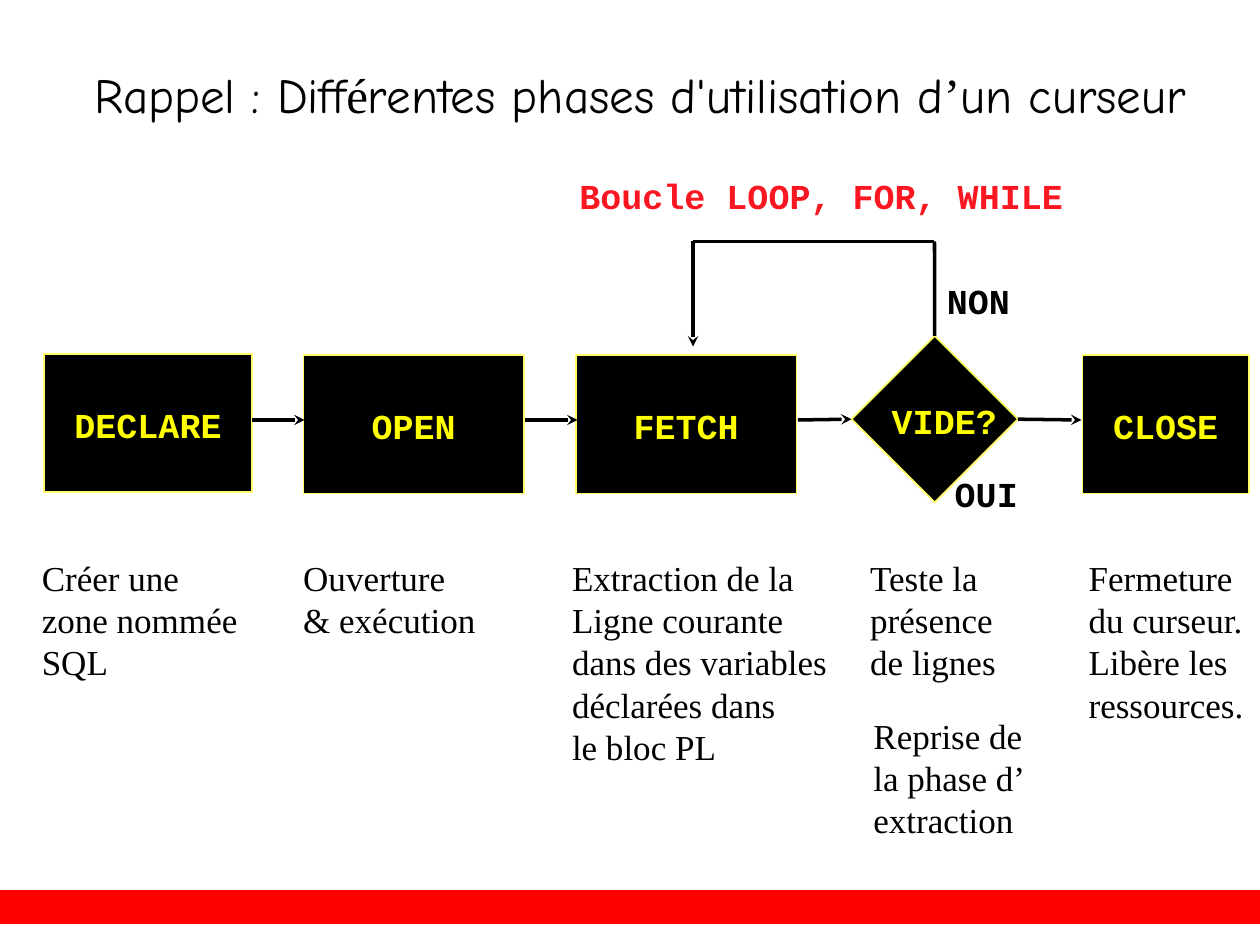
from lxml import etree
from pptx import Presentation
from pptx import util as u
from pptx.dml.color import RGBColor
from pptx.enum import shapes, text
from pptx.oxml import ns

COLS, ROWS = 120, 90
MONO = {"name": "Courier New", "size": u.Pt(20), "bold": True}
SERIF = {"name": "Times New Roman", "size": u.Pt(20), "bold": False}
BLACK, YELLOW, RED = "000000", "FFFF00", "FB1722"

prs = Presentation()
prs.slide_width, prs.slide_height = u.Inches(10), u.Inches(7.5)


def color(value):
    return RGBColor.from_string(value)


def grid(col, row):
    return int(prs.slide_width * col / COLS), int(prs.slide_height * row / ROWS)


def format_font(font, values, fill):
    for key, value in values.items():
        setattr(font, key, value)
    font.color.rgb = color(fill)


def write_lines(tf, lines, values, fill, align):
    for i, line in enumerate(lines):
        p = tf.paragraphs[0] if i == 0 else tf.add_paragraph()
        p.alignment = align
        r = p.add_run()
        r.text = line
        format_font(r.font, values, fill)


def add_title(s, parts):
    sp = s.shapes.title
    sp.left, sp.top = grid(9, 7)
    sp.width, sp.height = grid(105.8, 7)
    tf = sp.text_frame
    frame = {"margin_left": 0, "margin_top": 0, "margin_right": 0, "margin_bottom": 0,
             "vertical_anchor": text.MSO_ANCHOR.TOP, "word_wrap": True,
             "auto_size": text.MSO_AUTO_SIZE.NONE}
    for key, value in frame.items():
        setattr(tf, key, value)
    p = tf.paragraphs[0]
    p.alignment, p.line_spacing = text.PP_ALIGN.LEFT, 0.85
    for part, name in parts:
        r = p.add_run()
        r.text = part
        format_font(r.font, {"name": name, "size": u.Pt(28)}, BLACK)


def add_block(s, kind, col, row, width, height, fill=BLACK, line="FFFF66", label=None):
    sp = s.shapes.add_shape(kind, *grid(col, row), *grid(width, height))
    sp.shadow.inherit = False
    sp.fill.solid()
    sp.fill.fore_color.rgb = color(fill)
    sp.line.color.rgb = color(line)
    sp.line.width = u.Pt(1)
    if label:
        tf = sp.text_frame
        tf.vertical_anchor = text.MSO_ANCHOR.MIDDLE
        tf.margin_top = u.Inches(0.07)
        write_lines(tf, [label], MONO, YELLOW, text.PP_ALIGN.CENTER)
    return sp


def add_text(s, col, row, width, lines, values=SERIF, fill=BLACK):
    sp = s.shapes.add_textbox(*grid(col, row), *grid(width, 1.2 + 4 * len(lines)))
    tf = sp.text_frame
    tf.word_wrap = False
    tf.auto_size = text.MSO_AUTO_SIZE.SHAPE_TO_FIT_TEXT
    write_lines(tf, lines, values, fill, text.PP_ALIGN.LEFT)


def add_line(s, start, end, arrow=True):
    c = s.shapes.add_connector(shapes.MSO_CONNECTOR.STRAIGHT, *grid(*start), *grid(*end))
    c.line.color.rgb = color(BLACK)
    c.line.width = u.Pt(2)
    if arrow:
        etree.SubElement(c.line._get_or_add_ln(), ns.qn("a:tailEnd"), type="stealth")
    etree.SubElement(c._element.spPr, ns.qn("a:effectLst"))
    return c


def main():
    s = prs.slides.add_slide(prs.slide_layouts[5])
    rect, diamond = shapes.MSO_SHAPE.RECTANGLE, shapes.MSO_SHAPE.DIAMOND
    add_block(s, rect, 0, 84.85, COLS, 3.1, "FD0000", "FD0000")
    add_title(s, [("Rappel : Diff", "Comic Neue"), ("é", "Times New Roman"),
                  ("rentes phases d'utilisation d", "Comic Neue"),
                  ("’", "Times New Roman"), ("un curseur", "Comic Neue")])

    test = add_block(s, diamond, 81.1, 32, 15.85, 15.85)
    for label, col, row, width in [("DECLARE", 4.2, 33.7, 19.8), ("OPEN", 28.9, 33.8, 21),
                                   ("FETCH", 54.85, 33.8, 21), ("CLOSE", 103.1, 33.8, 15.85)]:
        add_block(s, rect, col, row, width, 13.2, label=label)

    add_line(s, (24, 40), (29, 40))
    add_line(s, (50, 40), (55, 40))
    add_line(s, (76, 40), (81, 40)).end_connect(test, 1)
    add_line(s, (97, 40), (103, 40)).begin_connect(test, 3)
    add_line(s, (89, 32), (89, 23), arrow=False).begin_connect(test, 0)
    add_line(s, (89, 23), (66, 23), arrow=False)
    add_line(s, (66, 23), (66, 33))

    for label, col, row, width, fill in [
            ("VIDE?", 83.75, 37.45, 12.5, YELLOW), ("OUI", 89.75, 44.4, 8.4, BLACK),
            ("NON", 89, 26, 8.4, BLACK), ("Boucle LOOP, FOR, WHILE", 54, 16, 48.5, RED)]:
        add_text(s, col, row, width, [label], MONO, fill)

    for col, row, width, lines in [
            (2.8, 52.45, 21.1, ["Créer une", "zone nommée", "SQL"]),
            (27.7, 52.45, 18.85, ["Ouverture", "& exécution"]),
            (53.3, 52.45, 26.75, ["Extraction de la", "Ligne courante", "dans des variables",
                                  "déclarées dans", "le bloc PL"]),
            (81.7, 52.45, 14.4, ["Teste la", "présence", "de lignes"]),
            (82, 67.45, 16.9, ["Reprise de", "la phase d’", "extraction"]),
            (102.5, 52.45, 17.3, ["Fermeture", "du curseur.", "Libère les", "ressources."])]:
        add_text(s, col, row, width, lines)

    prs.save("out.pptx")


if __name__ == "__main__":
    main()
